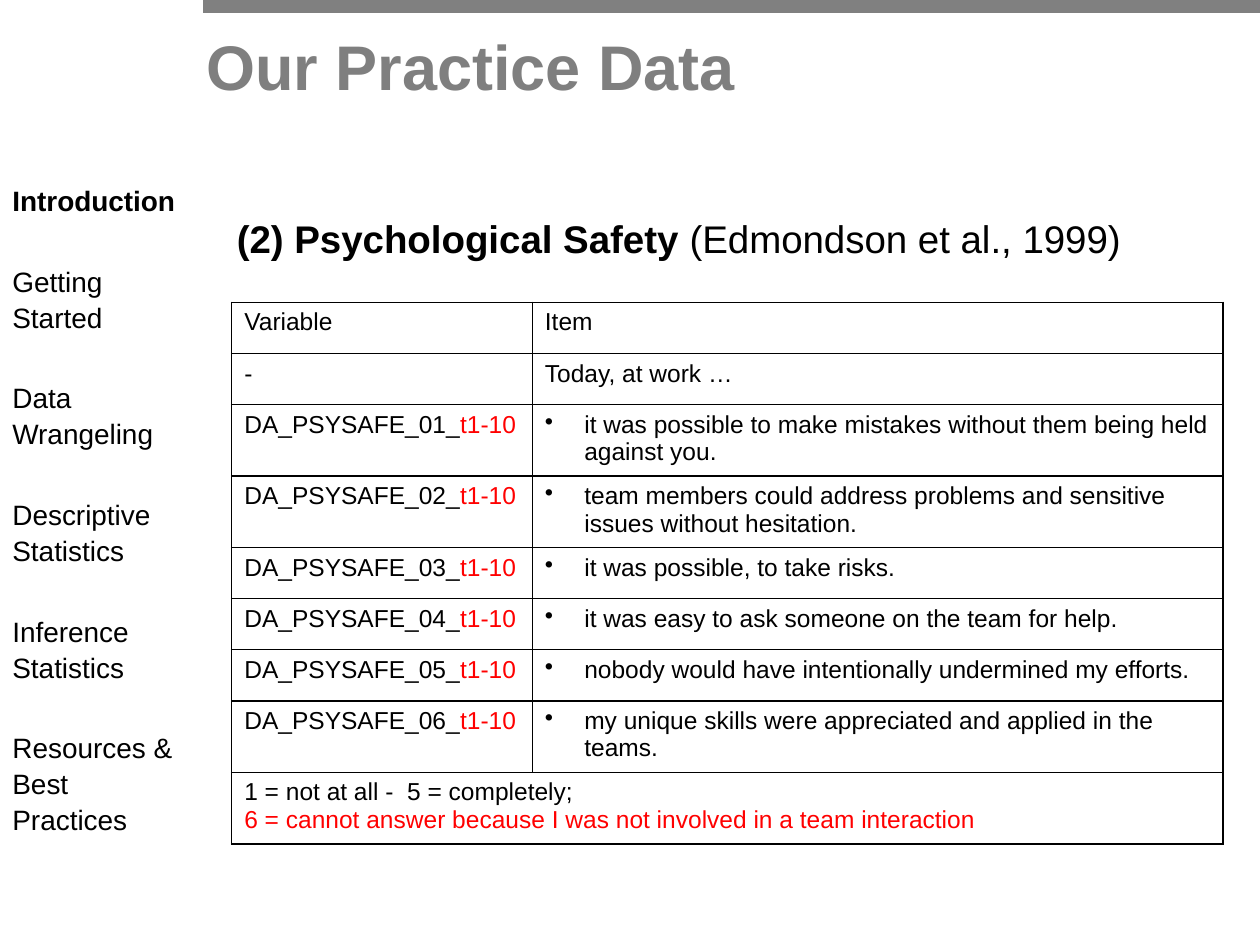
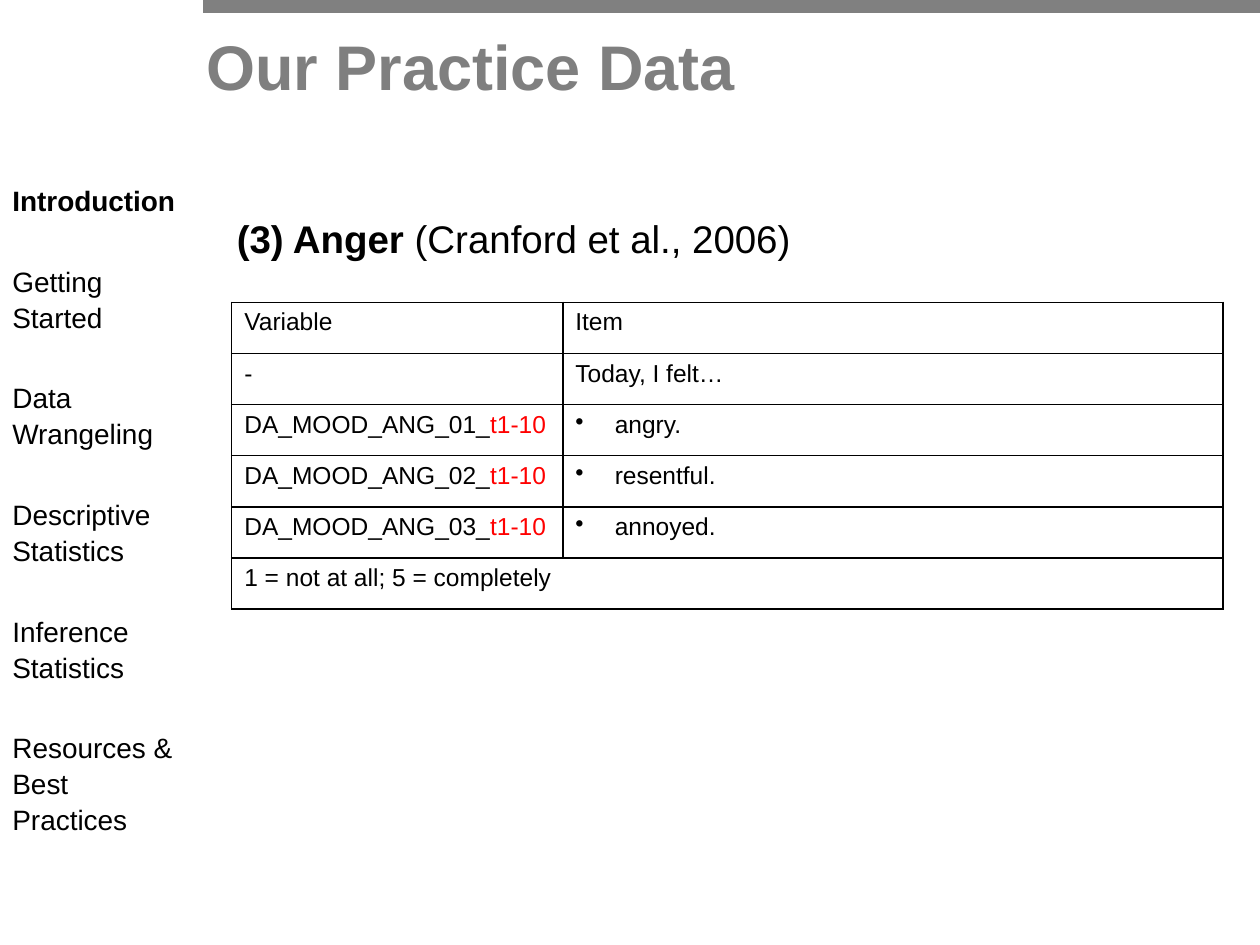
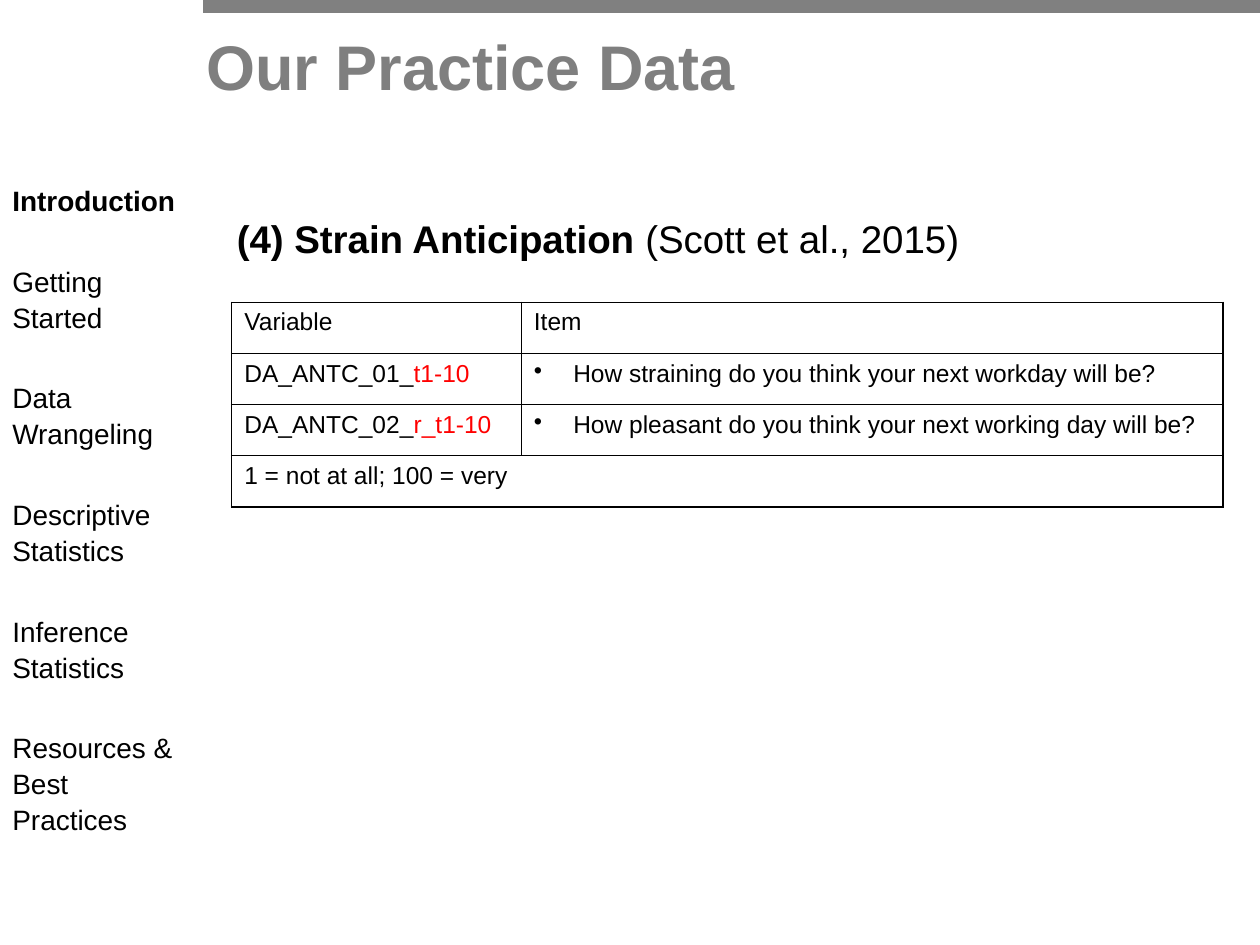
"""Build three slides that list the questionnaire items of the practice data."""
from dataclasses import dataclass

from lxml.etree import SubElement
from pptx import Presentation
from pptx.dml.color import RGBColor
from pptx.enum.shapes import MSO_CONNECTOR
from pptx.oxml.ns import qn
from pptx.util import Pt


@dataclass(frozen=True)
class Theme:
    """Colours, type sizes and table measures of the deck."""
    font: str = "Arial"
    ink: str = "000000"
    accent: str = "FF0000"
    bar: str = "808080"
    title: str = "7F7F7F"
    title_size: float = 36
    heading_size: float = 22
    chapter_size: float = 16
    table_size: float = 14
    line_spacing: float = 1.07
    chapter_gap: float = 25.6
    row_height: float = 29.2
    tall_row_height: float = 38.7
    table_width: float = 566.6
    border: float = 0.96
    bullet_indent: float = 22.5


THEME = Theme()
CHAPTERS = ["Introduction", "Getting Started", "Data Wrangeling", "Descriptive Statistics",
            "Inference Statistics", "Resources & Best Practices"]
SCALES = [
    dict(
        name="(2) Psychological Safety ", source="(Edmondson et al., 1999)",
        stem="DA_PSYSAFE", lead="Today, at work …", variable_width=171.8,
        items=["it was possible to make mistakes without them being held against you.",
               "team members could address problems and sensitive issues without hesitation.",
               "it was possible, to take risks.",
               "it was easy to ask someone on the team for help.",
               "nobody would have intentionally undermined my efforts.",
               "my unique skills were appreciated and applied in the teams."],
        legend=["1 = not at all -  5 = completely;",
                "6 = cannot answer because I was not involved in a team interaction"],
        tall_rows={2, 3, 7, 8},
    ),
    dict(
        name="(3) Anger ", source="(Cranford et al., 2006)",
        stem="DA_MOOD_ANG", lead="Today, I felt…", variable_width=189.2,
        items=["angry.", "resentful.", "annoyed."],
        legend=["1 = not at all; 5 = completely"],
    ),
    dict(
        name="(4) Strain Anticipation ", source="(Scott et al., 2015)",
        stem="DA_ANTC", variable_width=165.5, reversed_items={2},
        items=["How straining do you think your next workday will be?",
               "How pleasant do you think your next working day will be?"],
        legend=["1 = not at all; 100 = very"],
    ),
]


def write(para, text, size=THEME.table_size, color=THEME.ink, bold=False):
    """Add a formatted span of text to a paragraph."""
    span = para.add_run()
    span.text = text
    span.font.name = THEME.font
    span.font.size = Pt(size)
    span.font.bold = bold
    span.font.color.rgb = RGBColor.from_string(color)


def add_bullet(para):
    """Give a paragraph a hanging bullet."""
    properties = para._p.get_or_add_pPr()
    properties.set("marL", str(Pt(THEME.bullet_indent)))
    properties.set("indent", str(-Pt(THEME.bullet_indent)))
    color = SubElement(properties, qn("a:buClr"))
    SubElement(color, qn("a:srgbClr"), val=THEME.ink)
    SubElement(properties, qn("a:buChar"), char="•")


def style_cell(cell):
    """Draw thin borders round a cell and leave it unfilled."""
    properties = cell._tc.get_or_add_tcPr()
    for side in ("a:lnL", "a:lnR", "a:lnT", "a:lnB"):
        line = SubElement(properties, qn(side), w=str(Pt(THEME.border)))
        fill = SubElement(line, qn("a:solidFill"))
        SubElement(fill, qn("a:srgbClr"), val=THEME.ink)
    cell.fill.background()


class DeckBuilder:
    """Hold the deck and its current page, and draw each kind of element."""

    def __init__(self, theme):
        """Start an empty 10 by 7.5 inch deck."""
        self.theme = theme
        self.deck = Presentation()
        self.deck.slide_width, self.deck.slide_height = Pt(720), Pt(540)
        self.page = None

    def add_page(self, title):
        """Start a page with the bar, the title and the chapter list."""
        self.page = self.deck.slides.add_slide(self.deck.slide_layouts[6])
        self.add_bar()
        para = self.add_text_box(111, 9.4, 609, 73.4).paragraphs[0]
        para.line_spacing = self.theme.line_spacing
        write(para, title, size=self.theme.title_size, color=self.theme.title, bold=True)
        self.add_chapters()

    def add_bar(self):
        """Draw the thick line along the top edge."""
        bar = self.page.shapes.add_connector(
            MSO_CONNECTOR.STRAIGHT, Pt(116), Pt(3.6), Pt(720), Pt(3.6))
        bar.line.color.rgb = RGBColor.from_string(self.theme.bar)
        bar.line.width = Pt(8)
        SubElement(bar._element.spPr, qn("a:effectLst"))

    def add_text_box(self, left, top, width, height):
        """Add a wrapping text box and return its text frame."""
        box = self.page.shapes.add_textbox(Pt(left), Pt(top), Pt(width), Pt(height))
        box.text_frame.word_wrap = True
        return box.text_frame

    def add_chapters(self):
        """List the chapters on the left with the first one in bold."""
        frame = self.add_text_box(0, 100, 110, 402.5)
        for index, chapter in enumerate(CHAPTERS):
            para = frame.add_paragraph() if index else frame.paragraphs[0]
            para.line_spacing = self.theme.line_spacing
            if index:
                para.space_before = Pt(self.theme.chapter_gap)
            write(para, chapter, size=self.theme.chapter_size, bold=index == 0)

    def add_heading(self, name, source):
        """Write the scale name and its citation."""
        para = self.add_text_box(128.2, 117.4, 591.8, 402.5).paragraphs[0]
        para.line_spacing = self.theme.line_spacing
        write(para, name, size=self.theme.heading_size, bold=True)
        write(para, source, size=self.theme.heading_size)

    def add_scale_table(self, stem, items, legend, variable_width,
                        lead=None, tall_rows=(), reversed_items=()):
        """Tabulate the variables and items of a scale above its answer legend."""
        theme = self.theme
        opening = [("Variable", "Item")] + ([("-", lead)] if lead else [])
        row_count = len(opening) + len(items) + 1
        heights = [theme.tall_row_height if row in tall_rows else theme.row_height
                   for row in range(row_count)]
        table = self.page.shapes.add_table(
            row_count, 2, Pt(132.4), Pt(172.8), Pt(theme.table_width), Pt(sum(heights))).table
        table.first_row = table.horz_banding = False
        for column, width in zip(table.columns, (variable_width, theme.table_width - variable_width)):
            column.width = Pt(width)
        for row, height in zip(table.rows, heights):
            row.height = Pt(height)
        for cell in table.iter_cells():
            style_cell(cell)

        for row, texts in enumerate(opening):
            for column, text in enumerate(texts):
                write(table.cell(row, column).text_frame.paragraphs[0], text)
        for number, item in enumerate(items, 1):
            row = len(opening) + number - 1
            variable, statement = (table.cell(row, column).text_frame.paragraphs[0]
                                   for column in range(2))
            write(variable, f"{stem}_{number:02}_")
            write(variable, "r_t1-10" if number in reversed_items else "t1-10", color=theme.accent)
            add_bullet(statement)
            write(statement, item)

        legend_cell = table.cell(row_count - 1, 0)
        legend_cell.merge(table.cell(row_count - 1, 1))
        frame = legend_cell.text_frame
        for index, text in enumerate(legend):
            para = frame.add_paragraph() if index else frame.paragraphs[0]
            write(para, text, color=theme.accent if index else theme.ink)


def main():
    """Build one page per scale and save the deck."""
    builder = DeckBuilder(THEME)
    for scale in SCALES:
        content = dict(scale)
        builder.add_page("Our Practice Data")
        builder.add_heading(content.pop("name"), content.pop("source"))
        builder.add_scale_table(**content)
    builder.deck.save("out.pptx")


if __name__ == "__main__":
    main()
